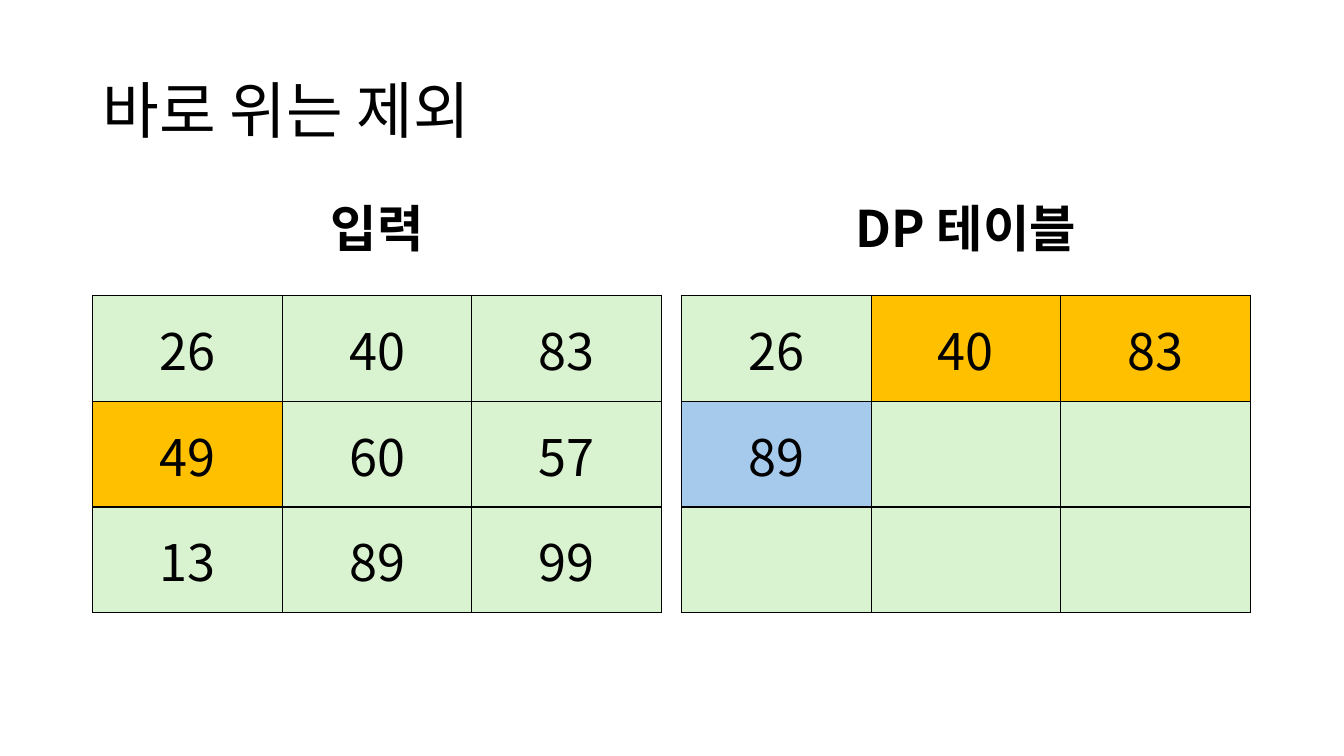
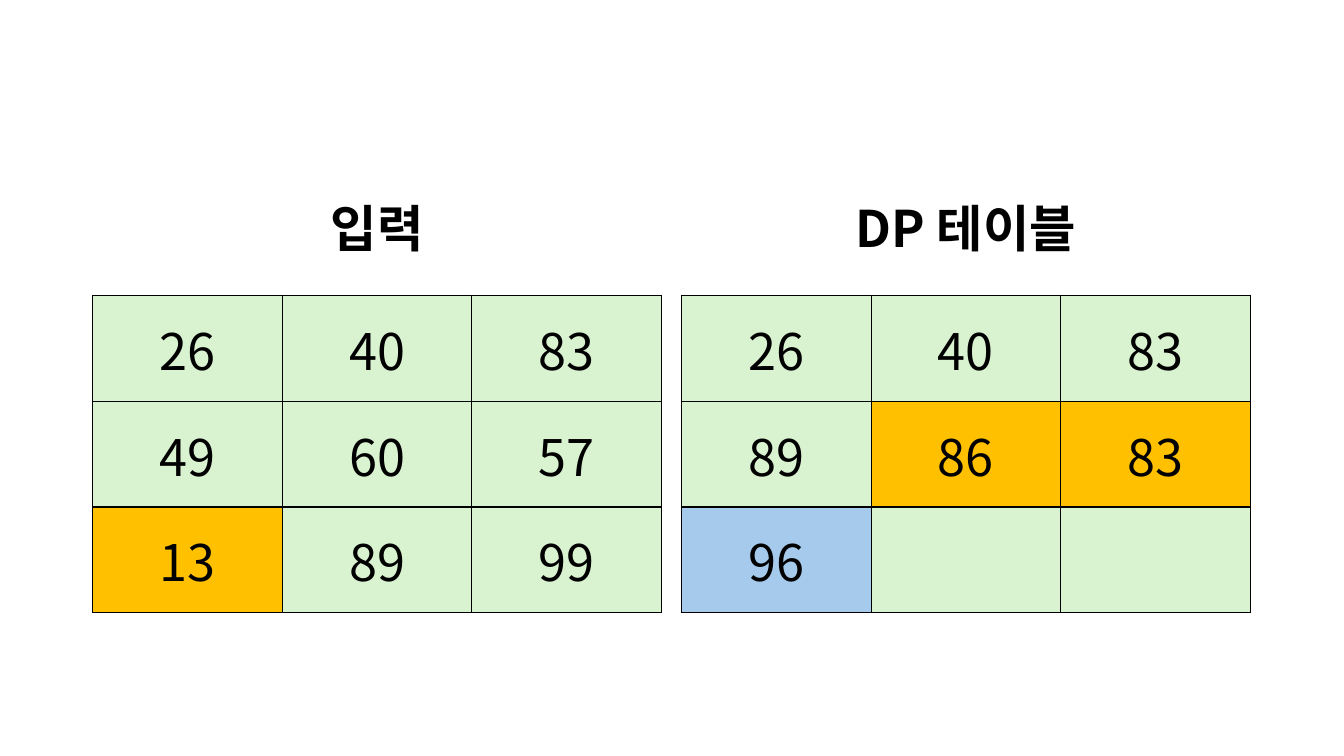
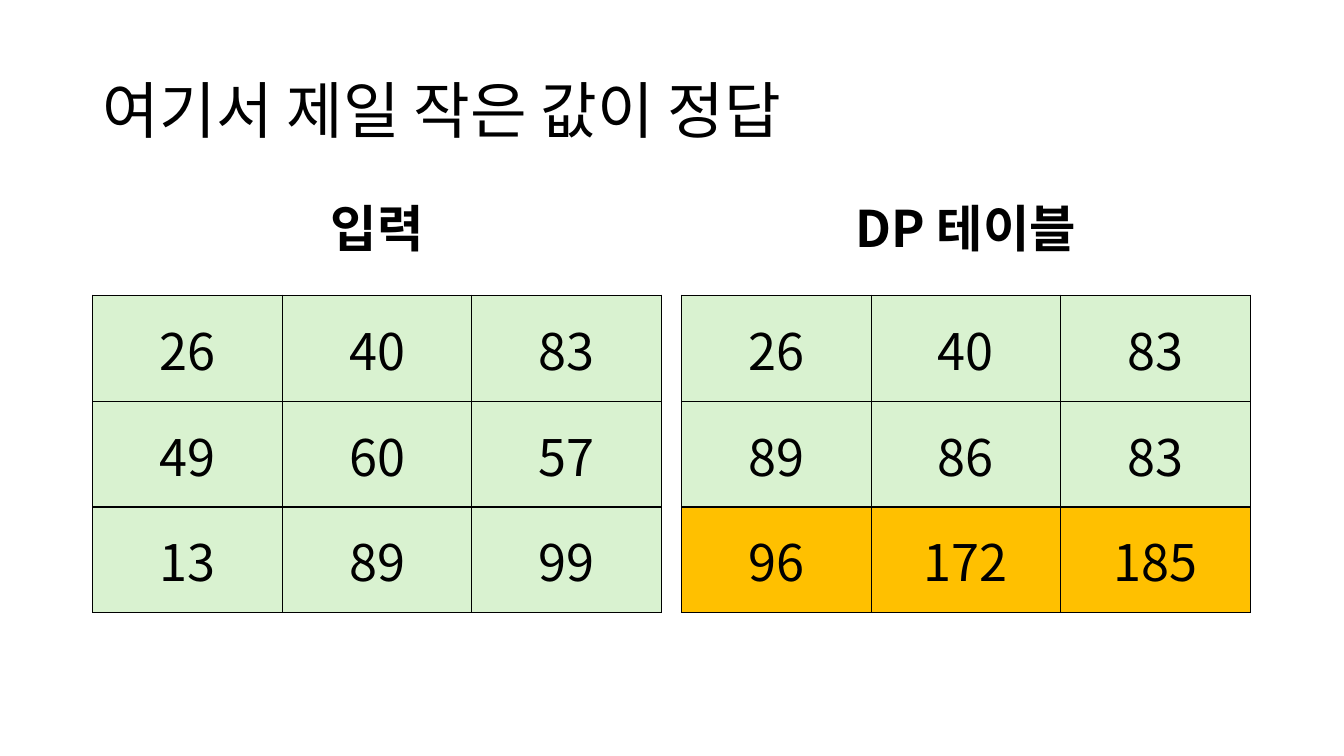
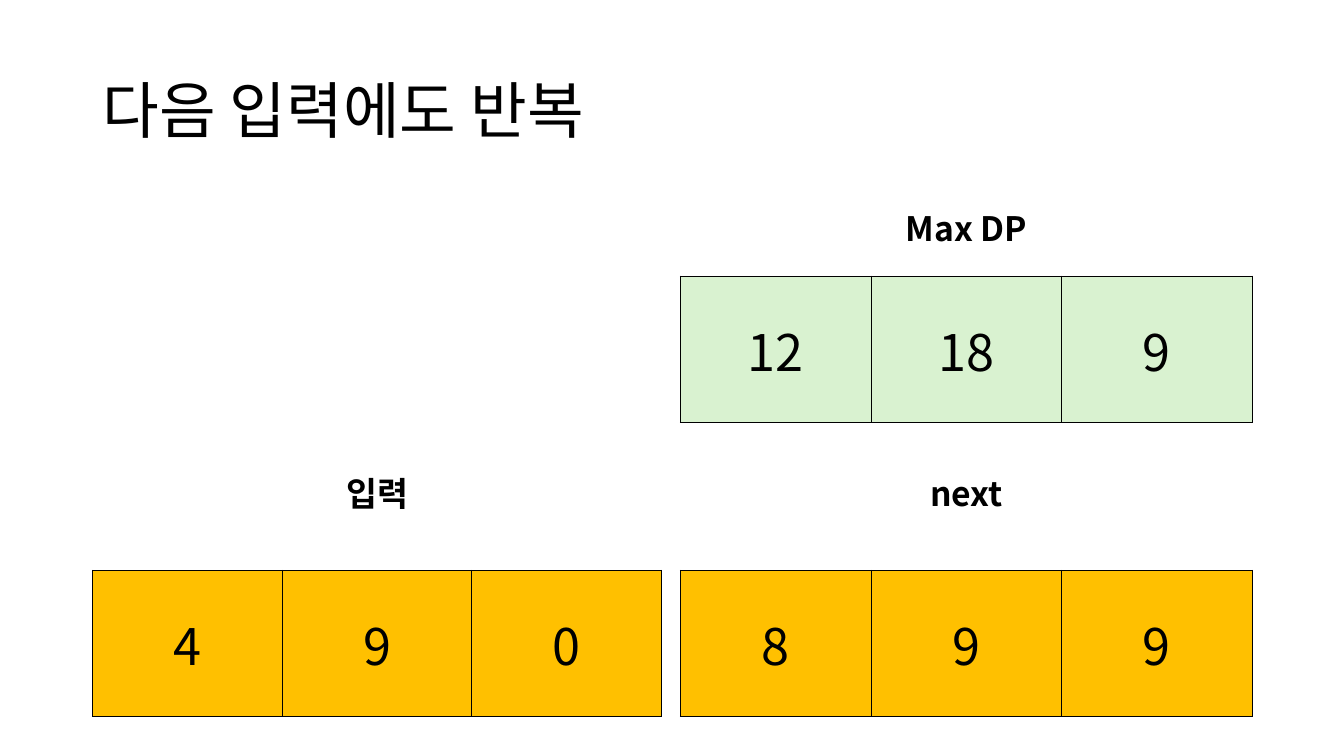
from lxml.etree import SubElement
from pptx import Presentation
from pptx.dml.color import RGBColor
from pptx.enum.text import MSO_ANCHOR as Anchor, PP_ALIGN as Align
from pptx.oxml.ns import qn
from pptx.util import Pt

# Shared look
PX = 9144  # EMU per px, 100 px to the inch
FONT = "Noto Sans CJK KR"
COLORS = {"text": "000000", "border": "000000", "plain": "D9F2D0",
          "used": "FFC000", "result": "A6CAEC"}
SLIDE_SIZE = (1333, 750)
TITLE_BOX = (92, 40, 1150, 145)
LABEL_HEIGHT = 90
COLUMN_COUNT = 3
BORDER_SIDES = ("a:lnL", "a:lnR", "a:lnT", "a:lnB")

# Panel places: left, label top, table top, column width, row height
LEFT_GRID = (92, 184, 293, 188, 105)
RIGHT_GRID = (676, 184, 293, 188, 105)
LEFT_BOTTOM = (92, 447, 566, 188, 145)
RIGHT_TOP = (675, 184, 274, 189, 145)
RIGHT_BOTTOM = (675, 447, 566, 189, 145)

# Content
INPUT = [[26, 40, 83], [49, 60, 57], [13, 89, 99]]
TOTALS = [[26, 40, 83], [89, 86, 83], [96, 172, 185]]
WHOLE_ROW = [0, 1, 2]


def row_marks(row, columns, role):
    return {(row, column): role for column in columns}


def grid_panels(filled, input_marks, total_marks):
    """Input beside a DP table of which the first `filled` cells are known."""
    totals = [[value if row * COLUMN_COUNT + column < filled else ""
               for column, value in enumerate(values)]
              for row, values in enumerate(TOTALS)]
    return [("입력", 36, LEFT_GRID, INPUT, input_marks),
            ("DP 테이블", 36, RIGHT_GRID, totals, total_marks)]


def step_panels(row):
    """The step that works out the first cell of a row."""
    return grid_panels(row * COLUMN_COUNT + 1, {(row, 0): "used"},
                       row_marks(row - 1, [1, 2], "used") | {(row, 0): "result"})


USED_ROW = row_marks(0, WHOLE_ROW, "used")
SLIDES = [
    ("바로 위는 제외", step_panels(1)),
    (None, step_panels(2)),
    ("여기서 제일 작은 값이 정답",
     grid_panels(9, {}, row_marks(2, WHOLE_ROW, "used"))),
    ("다음 입력에도 반복", [
        ("입력", 24, LEFT_BOTTOM, [[4, 9, 0]], USED_ROW),
        ("Max DP", 24, RIGHT_TOP, [[12, 18, 9]], {}),
        ("next", 24, RIGHT_BOTTOM, [[8, 9, 9]], USED_ROW),
    ]),
]


def to_emu(*lengths):
    return [length * PX for length in lengths]


def write(paragraph, text, size, align, bold=False):
    paragraph.text = text
    paragraph.alignment = align
    font = paragraph.font
    font.name, font.size, font.bold = FONT, Pt(size), bold
    font.color.rgb = RGBColor.from_string(COLORS["text"])
    # Hangul takes the East Asian typeface
    properties = paragraph._p.pPr.find(qn("a:defRPr"))
    SubElement(properties, qn("a:ea"), typeface=FONT)


def add_text(slide, box, text, size, align, bold=False, space_before=0):
    frame = slide.shapes.add_textbox(*to_emu(*box)).text_frame
    frame.word_wrap = True
    frame.vertical_anchor = Anchor.MIDDLE
    paragraph = frame.paragraphs[0]
    write(paragraph, text, size, align, bold)
    paragraph.line_spacing = 0.9
    paragraph.space_before = Pt(space_before)


def style_cell(cell, role):
    cell.vertical_anchor = Anchor.MIDDLE
    properties = cell._tc.get_or_add_tcPr()
    for side in BORDER_SIDES:
        line = SubElement(properties, qn(side), w=str(Pt(1)))
        fill = SubElement(line, qn("a:solidFill"))
        SubElement(fill, qn("a:srgbClr"), val=COLORS["border"])
    cell.fill.solid()
    cell.fill.fore_color.rgb = RGBColor.from_string(COLORS[role])


def add_panel(slide, label, label_size, place, values, marks):
    left, label_top, table_top, column_width, row_height = place
    width = column_width * COLUMN_COUNT
    add_text(slide, (left, label_top, width, LABEL_HEIGHT), label, label_size,
             Align.CENTER, bold=True, space_before=10)
    box = to_emu(left, table_top, width, row_height * len(values))
    table = slide.shapes.add_table(len(values), COLUMN_COUNT, *box).table
    table.first_row = table.horz_banding = False
    for row, row_values in enumerate(values):
        for column, value in enumerate(row_values):
            cell = table.cell(row, column)
            write(cell.text_frame.paragraphs[0], str(value), 36, Align.CENTER)
            style_cell(cell, marks.get((row, column), "plain"))


def main():
    presentation = Presentation()
    presentation.slide_width, presentation.slide_height = to_emu(*SLIDE_SIZE)
    for title, panels in SLIDES:
        slide = presentation.slides.add_slide(presentation.slide_layouts[6])
        if title:
            add_text(slide, TITLE_BOX, title, 44, Align.LEFT)
        for panel in panels:
            add_panel(slide, *panel)
    presentation.save("out.pptx")


if __name__ == "__main__":
    main()
